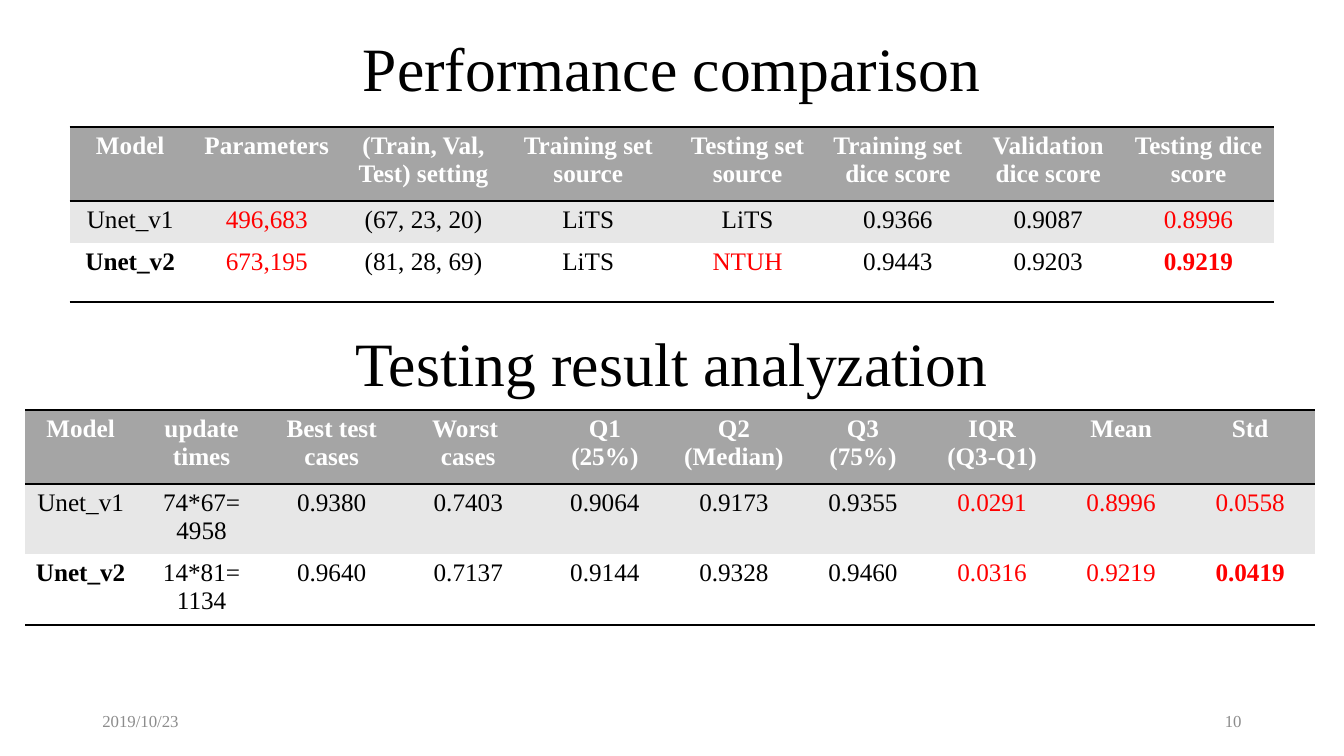
from dataclasses import dataclass

from lxml.etree import SubElement
from pptx import Presentation
from pptx.dml.color import RGBColor
from pptx.enum.text import MSO_ANCHOR, PP_ALIGN
from pptx.oxml.ns import qn
from pptx.util import Pt


@dataclass(frozen=True)
class Theme:
    """Colours, font and type sizes of the slide."""
    font: str = "Times New Roman"
    ink: str = "000000"
    red: str = "FF0000"
    pale: str = "FFFFFF"
    head: str = "A5A5A5"
    band: str = "E7E7E7"
    note: str = "8C8C8C"
    title: int = 44
    body: int = 18
    small: int = 12
    rule: int = 2


def write(frame, text, size, color, font, bold=False, align=PP_ALIGN.CENTER, space=None):
    """Fill a text frame, one paragraph per line of text."""
    frame.word_wrap = True
    for i, line in enumerate(text.split("\n")):
        para = frame.paragraphs[0] if i == 0 else frame.add_paragraph()
        para.alignment = align
        if space:
            para.line_spacing = space
        run = para.add_run()
        run.text = line
        run.font.name = font
        run.font.size = Pt(size)
        run.font.bold = bold
        run.font.color.rgb = RGBColor.from_string(color)


class Page:
    """A slide together with its style."""

    def __init__(self, slide, theme):
        """Keep the slide and the theme."""
        self.slide, self.theme = slide, theme

    def label(self, text, box, size, color, **form):
        """Add a text box centred on its height."""
        frame = self.slide.shapes.add_textbox(*map(Pt, box)).text_frame
        frame.vertical_anchor = MSO_ANCHOR.MIDDLE
        write(frame, text, size, color, self.theme.font, **form)

    def title(self, text, top):
        """Add a wide heading."""
        self.label(text, (66, top, 828, 62), self.theme.title, self.theme.ink, space=0.9)

    def edge(self, cell, ruled):
        """Draw the ruled sides of a cell and clear the others."""
        props = cell._tc.get_or_add_tcPr()
        for i, side in enumerate("LRTB"):
            line = SubElement(props, qn(f"a:ln{side}"))
            if side in ruled:
                line.set("w", str(Pt(self.theme.rule)))
                fill = SubElement(line, qn("a:solidFill"))
                SubElement(fill, qn("a:srgbClr")).set("val", self.theme.ink)
            else:
                SubElement(line, qn("a:noFill"))
            props.insert(i, line)

    def grid(self, rows, left, top, wides, highs, reds):
        """Add a table with a grey head and red marks at (row, column)."""
        look = self.theme
        fills = look.head, look.band, look.pale
        sides = "TB", "T", "B"
        shape = self.slide.shapes.add_table(
            len(rows), len(wides), Pt(left), Pt(top), Pt(sum(wides)), Pt(sum(highs)))
        table = shape.table
        table.first_row = table.horz_banding = False
        for col, wide in zip(table.columns, wides):
            col.width = Pt(wide)
        for r, texts in enumerate(rows):
            table.rows[r].height = Pt(highs[r])
            for c, text in enumerate(texts):
                cell = table.cell(r, c)
                cell.fill.solid()
                cell.fill.fore_color.rgb = RGBColor.from_string(fills[r])
                self.edge(cell, sides[r])
                color = look.pale if r == 0 else look.red if (r, c) in reds else look.ink
                bold = r == 0 or r == 2 and c in (0, len(wides) - 1)
                write(cell.text_frame, text, look.body, color, look.font, bold=bold)


SCORES = [
    ["Model", "Parameters", "(Train, Val, Test) setting", "Training set source",
     "Testing set source", "Training set dice score", "Validation dice score",
     "Testing dice score"],
    ["Unet_v1", "496,683", "(67, 23, 20)", "LiTS", "LiTS", "0.9366", "0.9087", "0.8996"],
    ["Unet_v2", "673,195", "(81, 28, 69)", "LiTS", "NTUH", "0.9443", "0.9203", "0.9219"],
]
TESTS = [
    ["Model", "update times", "Best test cases", "Worst \ncases", "Q1\n(25%)",
     "Q2\n(Median)", "Q3\n(75%)", "IQR\n(Q3-Q1)", "Mean", "Std"],
    ["Unet_v1", "74*67= 4958", "0.9380", "0.7403", "0.9064", "0.9173", "0.9355",
     "0.0291", "0.8996", "0.0558"],
    ["Unet_v2", "14*81=\n1134", "0.9640", "0.7137", "0.9144", "0.9328", "0.9460",
     "0.0316", "0.9219", "0.0419"],
]


def main():
    """Build and save the slide."""
    deck = Presentation()
    deck.slide_width, deck.slide_height = Pt(960), Pt(540)
    look = Theme()
    page = Page(deck.slides.add_slide(deck.slide_layouts[6]), look)
    page.title("Performance comparison", 20)
    page.label("2019/10/23", (66, 500.5, 216, 28.8), look.small, look.note,
               align=PP_ALIGN.LEFT)
    page.label("10", (678, 500.5, 216, 28.8), look.small, look.note,
               align=PP_ALIGN.RIGHT)
    page.grid(SCORES, 49.8, 90.7, [86.4, 108.7, 115.2, 120.2] + [107.4] * 4,
              [52.8, 30, 42.4], {(1, 1), (2, 1), (2, 4), (1, 7), (2, 7)})
    page.grid(TESTS, 18, 292.8, [79.2, 93.6, 92.2, 103] + [92.2] * 6,
              [52.8, 47.2, 47.2], {(r, c) for r in (1, 2) for c in (7, 8, 9)})
    page.title("Testing result analyzation", 231)
    deck.save("out.pptx")


if __name__ == "__main__":
    main()
